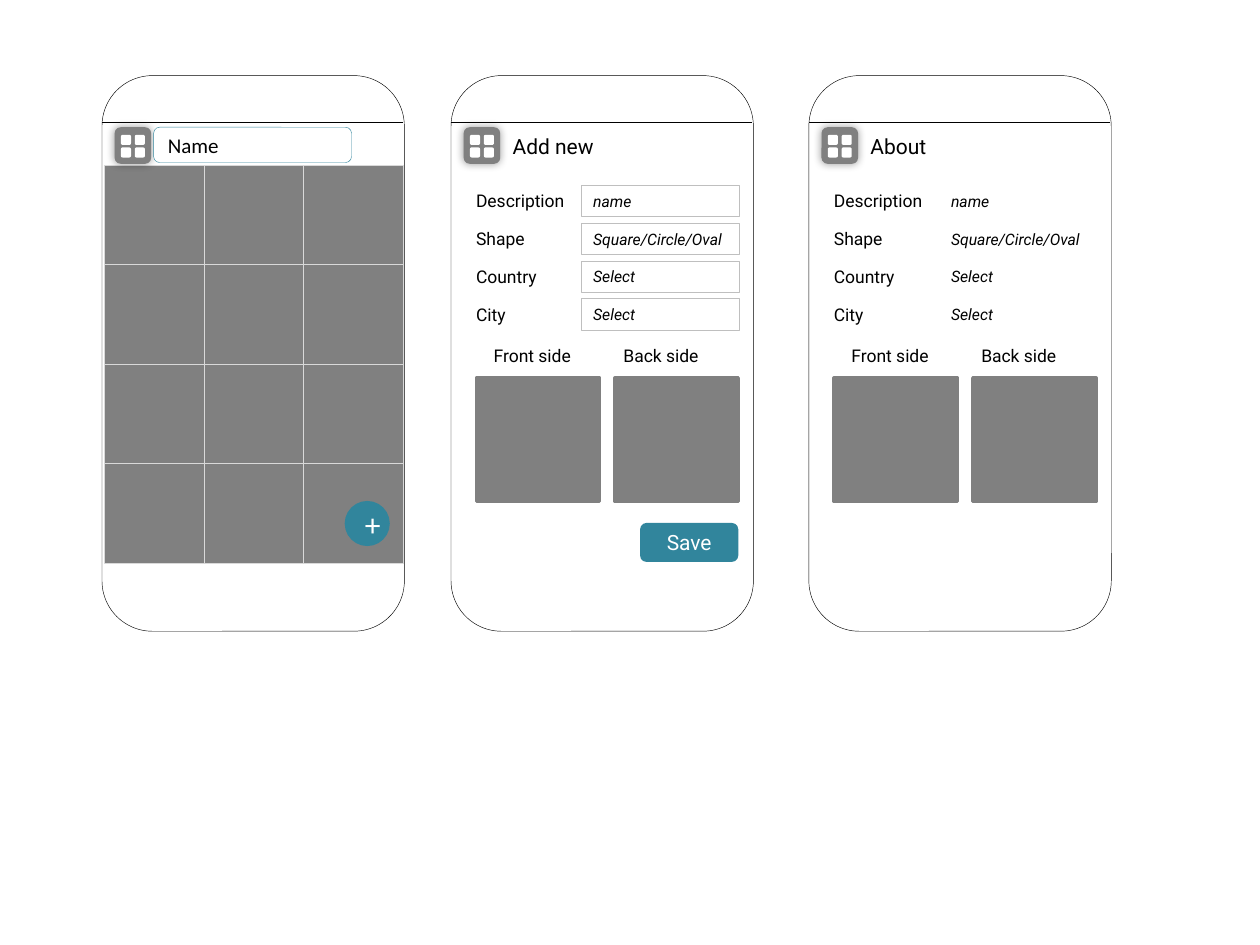
from lxml import etree
from pptx import Presentation
from pptx.dml.color import RGBColor
from pptx.enum.shapes import MSO_CONNECTOR, MSO_SHAPE
from pptx.enum.text import MSO_ANCHOR, MSO_AUTO_SIZE, PP_ALIGN
from pptx.oxml import parse_xml
from pptx.oxml.ns import nsdecls, qn
from pptx.util import Inches, Pt

RECT, ROUND, OVAL = MSO_SHAPE.RECTANGLE, MSO_SHAPE.ROUNDED_RECTANGLE, MSO_SHAPE.OVAL
STRAIGHT = MSO_CONNECTOR.STRAIGHT
TOP, MIDDLE = MSO_ANCHOR.TOP, MSO_ANCHOR.MIDDLE
LEFT, CENTER = PP_ALIGN.LEFT, PP_ALIGN.CENTER
GROW, FIXED = MSO_AUTO_SIZE.SHAPE_TO_FIT_TEXT, MSO_AUTO_SIZE.NONE

BLACK = RGBColor(0x00, 0x00, 0x00)
WHITE = RGBColor(0xFF, 0xFF, 0xFF)
GRAY = RGBColor(0x80, 0x80, 0x80)
TILE_EDGE = RGBColor(0xD9, 0xD9, 0xD9)
FIELD_EDGE = RGBColor(0xBF, 0xBF, 0xBF)
TEAL = RGBColor(0x31, 0x85, 0x9C)

PHONE_TOP, PHONE_WIDTH, PHONE_HEIGHT = 0.6, 2.4, 4.41
HEADER_TOP = 1.01
TILE = 0.79
ROW_TOP, ROW_PITCH = 1.46, 0.3
SCREENS = [("Name", 0.81), ("Add new", 3.58), ("About", 6.42)]
ROWS = [("Description", "name"), ("Shape", "Square/Circle/Oval"),
        ("Country", "Select"), ("City", "Select")]
SIDES = [("Front side", 0.24, 0.2), ("Back side", 1.27, 1.3)]


def add_block(shapes, kind, left, top, width, height, fill=None, line=None, weight=0.25):
    block = shapes.add_shape(kind, Inches(left), Inches(top), Inches(width), Inches(height))
    block.shadow.inherit = False
    for paint, color in ((block.fill, fill), (block.line.fill, line)):
        if color is None:
            paint.background()
        else:
            paint.solid()
            paint.fore_color.rgb = color
    if line is not None:
        block.line.width = Pt(weight)
    return block


def write_text(box, text, size=10, font="Roboto", color=BLACK, italic=False,
               align=LEFT, anchor=TOP, fit=GROW):
    frame = box.text_frame
    frame.word_wrap = True
    frame.auto_size = fit
    frame.vertical_anchor = anchor
    para = frame.paragraphs[0]
    para.alignment = align
    span = para.add_run()
    span.text = text
    span.font.size = Pt(size)
    span.font.name = font
    span.font.italic = italic
    span.font.color.rgb = color


deck = Presentation()
deck.slide_width, deck.slide_height = Inches(10), Inches(7.5)
page = deck.slides.add_slide(deck.slide_layouts[6])

for title, left in SCREENS:
    shapes = page.shapes.add_group_shape().shapes
    is_gallery = title == "Name"
    is_form = title == "Add new"

    add_block(shapes, ROUND, left, PHONE_TOP, PHONE_WIDTH, PHONE_HEIGHT, WHITE, BLACK)
    if is_gallery:
        for index in range(12):
            row, column = divmod(index, 3)
            add_block(shapes, RECT, left + 0.02 + column * TILE, 1.31 + row * TILE,
                      TILE, TILE, GRAY, TILE_EDGE)

    rule = shapes.add_connector(STRAIGHT, Inches(left), Inches(0.97),
                                Inches(left + 2.39), Inches(0.97))
    rule.line.color.rgb = BLACK
    rule.line.width = Pt(0.75)
    etree.SubElement(rule._element.spPr, qn("a:effectLst"))

    # Menu icon: a softly shadowed tile with four white squares
    icon = add_block(shapes, ROUND, left + 0.1, HEADER_TOP, 0.29, 0.29, GRAY)
    icon._element.spPr.find(qn("a:effectLst")).append(parse_xml(
        f'<a:outerShdw {nsdecls("a")} blurRad="{Pt(5)}" dist="0" dir="0">'
        '<a:srgbClr val="000000"><a:alpha val="40000"/></a:srgbClr></a:outerShdw>'))
    for index in range(4):
        row, column = divmod(index, 2)
        add_block(shapes, ROUND, left + 0.15 + column * 0.11, 1.07 + row * 0.1,
                  0.08, 0.08, WHITE)

    if is_gallery:
        add_button = add_block(shapes, OVAL, left + 1.94, 3.99, 0.33, 0.33, TEAL, TEAL, 2)
        write_text(add_button, "+", size=18, font="Calibri", color=WHITE,
                   align=CENTER, anchor=MIDDLE, fit=FIXED)
        search = add_block(shapes, ROUND, left + 0.41, HEADER_TOP, 1.57, 0.28, WHITE, TEAL)
        write_text(search, title, size=12, font="Calibri", anchor=MIDDLE, fit=FIXED)
        continue

    heading = shapes.add_textbox(Inches(left + 0.39), Inches(HEADER_TOP),
                                 Inches(1.89), Inches(0.3))
    write_text(heading, title, size=12)

    for index, (label, value) in enumerate(ROWS):
        top = ROW_TOP + index * ROW_PITCH
        caption = shapes.add_textbox(Inches(left + 0.1), Inches(top), Inches(1.01), Inches(0.27))
        write_text(caption, label)
        field = add_block(shapes, RECT, left + 1.03, top + 0.01, 1.26, 0.25,
                          line=FIELD_EDGE if is_form else None)
        write_text(field, value, size=9, italic=True)

    for label, label_offset, image_offset in SIDES:
        add_block(shapes, RECT, left + image_offset, 3, 0.98, 0.98, GRAY, GRAY, 2)
        caption = shapes.add_textbox(Inches(left + label_offset), Inches(2.69),
                                     Inches(1), Inches(0.27))
        write_text(caption, label)

    if is_form:
        save = add_block(shapes, ROUND, left + 1.5, 4.15, 0.78, 0.31, TEAL)
        write_text(save, "Save", size=12, color=WHITE, align=CENTER, anchor=MIDDLE, fit=FIXED)

deck.save("out.pptx")
